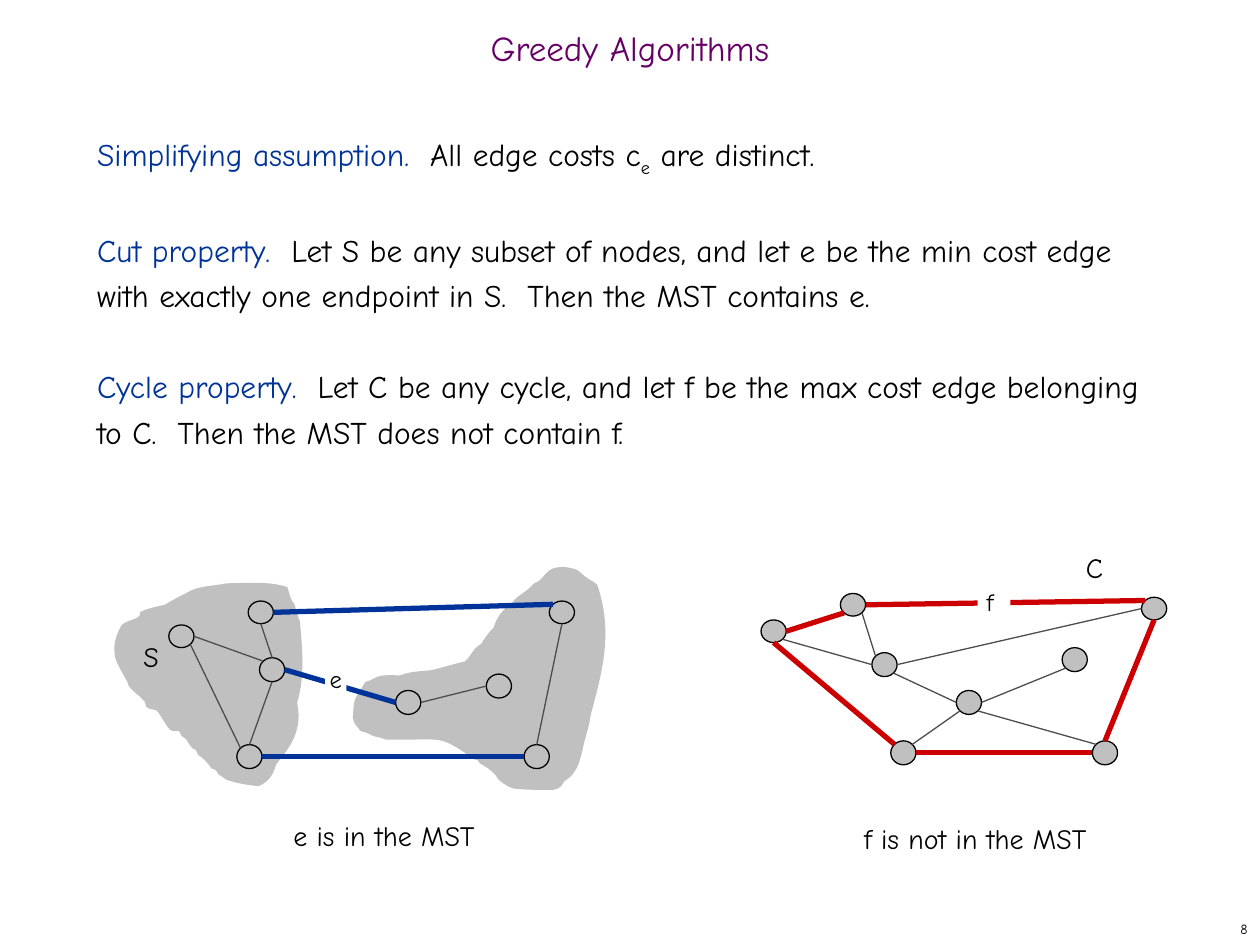
from pptx import Presentation
from pptx import util as u
from pptx.dml.color import RGBColor
from pptx.enum import shapes, text
from pptx.oxml.ns import qn
from lxml import etree

FONT = "Comic Neue"
INK = {"plum": "660066", "blue": "003399", "black": "000000", "red": "CC0000",
       "node": "C0C0C0", "edge": "4D4D4D", "white": "FFFFFF"}

# The page is a grid of 10 columns and 7.5 rows
COLS, ROWS = 10, 7.5
CELL = u.Inches(1)
NODE_W = 0.2
DIAG = 0.71
SITES = {"N": (0, -1), "S": (0, 1), "E": (1, 0), "W": (-1, 0),
         "NE": (DIAG, -DIAG), "NW": (-DIAG, -DIAG),
         "SE": (DIAG, DIAG), "SW": (-DIAG, DIAG)}

# Node corners by letter; an edge joins a compass point of one node to another
CUT = {"a": (1.34, 4.96), "h": (4.36, 4.77), "g": (4.16, 5.91), "b": (1.97, 4.77),
       "c": (2.06, 5.22), "d": (1.88, 5.91), "f": (3.86, 5.35), "e": (3.14, 5.48)}
CUT_BOLD = "gW-dE bE-hNW cE-eW"
CUT_THIN = "aE-cNW aSE-dNW bS-cN cS-dN hS-gN fW-eE"

CYCLE = {"a": (6.04, 4.92), "h": (9.06, 4.74), "g": (8.67, 5.88), "b": (6.67, 4.71),
         "c": (6.92, 5.18), "d": (7.07, 5.88), "f": (8.43, 5.14), "e": (7.59, 5.48)}
CYCLE_BOLD = "aE-bSW dNW-aS hS-gN gW-dE bE-hNW"
CYCLE_THIN = "bSE-cNW hW-cE eW-cSE eSW-dNE gNW-eSE fSW-eE cW-aSE"

# Outlines: a start point, then two handles and an end point for each curve
LEFT = [
    (1.11, 4.86), (1.16, 4.83), (1.27, 4.81), (1.31, 4.8), (1.37, 4.76), (1.44, 4.73),
    (1.51, 4.69), (1.59, 4.65), (1.71, 4.65), (1.8, 4.63), (1.95, 4.63), (2.13, 4.61),
    (2.28, 4.66), (2.3, 4.71), (2.3, 4.76), (2.34, 4.8), (2.35, 4.85), (2.36, 4.89),
    (2.38, 4.93), (2.4, 5.15), (2.42, 5.37), (2.36, 5.57), (2.36, 5.61), (2.37, 5.64),
    (2.37, 5.67), (2.37, 5.85), (2.29, 5.94), (2.19, 6.07), (2.17, 6.15), (2.13, 6.21),
    (2.05, 6.24), (1.96, 6.23), (1.89, 6.22), (1.8, 6.19), (1.78, 6.18), (1.76, 6.16),
    (1.74, 6.15), (1.73, 6.14), (1.72, 6.13), (1.72, 6.12), (1.71, 6.11), (1.69, 6.1),
    (1.68, 6.1), (1.65, 6.06), (1.61, 6.01), (1.57, 5.99), (1.57, 5.98), (1.56, 5.96),
    (1.55, 5.95), (1.54, 5.95), (1.53, 5.94), (1.52, 5.93), (1.5, 5.91), (1.49, 5.89),
    (1.48, 5.87), (1.47, 5.86), (1.45, 5.85), (1.44, 5.84), (1.41, 5.75), (1.39, 5.85),
    (1.33, 5.77), (1.3, 5.72), (1.29, 5.71), (1.26, 5.66), (1.25, 5.62), (1.18, 5.64),
    (1.16, 5.61), (1.15, 5.59), (1.16, 5.57), (1.13, 5.55), (1.11, 5.52), (1.06, 5.5),
    (1.02, 5.44), (1.01, 5.39), (0.91, 5.26), (0.91, 5.19), (0.9, 5.12), (0.92, 5.05),
    (0.95, 4.99), (0.97, 4.91), (1.13, 4.93), (1.11, 4.86)]
RIGHT = [
    (4.48, 4.5), (4.62, 4.52), (4.57, 4.53), (4.68, 4.6), (4.7, 4.61), (4.74, 4.64),
    (4.74, 4.64), (4.87, 5.02), (4.78, 5.33), (4.69, 5.67), (4.68, 5.74), (4.66, 5.81),
    (4.64, 5.88), (4.61, 6), (4.6, 6.13), (4.48, 6.2), (4.46, 6.24), (4.44, 6.26),
    (4.39, 6.27), (4.29, 6.27), (4.19, 6.27), (4.09, 6.26), (4.07, 6.26), (4.03, 6.24),
    (4.03, 6.24), (4, 6.22), (3.98, 6.21), (3.96, 6.19), (3.95, 6.19), (3.95, 6.17),
    (3.94, 6.16), (3.91, 6.12), (3.85, 6.08), (3.81, 6.06), (3.77, 6), (3.81, 6.06),
    (3.74, 6.01), (3.47, 5.82), (3.51, 5.88), (3.06, 5.87), (3.04, 5.86), (3.01, 5.85),
    (2.99, 5.85), (2.98, 5.84), (2.97, 5.84), (2.96, 5.84), (2.94, 5.83), (2.92, 5.82),
    (2.89, 5.81), (2.88, 5.81), (2.86, 5.8), (2.86, 5.8), (2.84, 5.77), (2.81, 5.75),
    (2.8, 5.7), (2.81, 5.59), (2.8, 5.56), (2.86, 5.48), (2.91, 5.4), (2.88, 5.42),
    (2.94, 5.4), (3.02, 5.35), (3.06, 5.36), (3.18, 5.36), (3.26, 5.33), (3.31, 5.33),
    (3.42, 5.32), (3.51, 5.3), (3.6, 5.27), (3.69, 5.25), (3.74, 5.21), (3.75, 5.15),
    (3.82, 5.11), (3.85, 5.06), (3.88, 5.02), (3.92, 4.98), (3.94, 4.9), (3.99, 4.84),
    (4.06, 4.79), (4.1, 4.73), (4.16, 4.71), (4.21, 4.66), (4.22, 4.65), (4.23, 4.64),
    (4.24, 4.63), (4.25, 4.62), (4.27, 4.62), (4.28, 4.61), (4.36, 4.53), (4.36, 4.5),
    (4.48, 4.5)]


def grid(*cells):
    return [round(c * CELL) for c in cells]


def rgb(name):
    return RGBColor.from_string(INK[name])


def put(par, words, size=16, ink="black", align=None, lead=None, gap=None, drop=False):
    """Add one formatted run to a paragraph."""
    run = par.add_run()
    run.text = words
    run.font.name, run.font.size = FONT, u.Pt(size)
    run.font.color.rgb = rgb(ink)
    if drop:
        run.font._element.set("baseline", "-25000")
    if align:
        par.alignment = align
    if lead:
        par.line_spacing = lead
    if gap is not None:
        par.space_before = u.Pt(gap)


def note(slide, words, x, y, w, h, wrap=False, **form):
    box = slide.shapes.add_textbox(*grid(x, y, w, h))
    box.text_frame.word_wrap = wrap
    put(box.text_frame.paragraphs[0], words, **form)
    return box


def tag(slide, words, x, y, w):
    """White label that breaks an edge."""
    box = note(slide, words, x, y, w, 0.23, wrap=True, size=14,
               align=text.PP_ALIGN.CENTER)
    box.fill.solid()
    box.fill.fore_color.rgb = rgb("white")
    frame = box.text_frame
    frame.margin_left = frame.margin_right = frame.margin_top = frame.margin_bottom = 0


def paint(shape):
    shape.shadow.inherit = False
    shape.fill.solid()
    shape.fill.fore_color.rgb = rgb("node")


def blob(slide, pts):
    """Closed region: each three points after the first become one curve."""
    pen = slide.shapes.build_freeform(*grid(*pts[0]))
    pen.add_line_segments([grid(*p) for p in pts[1:]], close=True)
    shape = pen.convert_to_shape()
    legs = list(shape._element.iter(qn("a:lnTo")))
    for i in range(0, len(pts) - 1, 3):
        curve = etree.Element(qn("a:cubicBezTo"))
        legs[i].addprevious(curve)
        for leg in legs[i:i + 3]:
            curve.append(leg[0])
            leg.getparent().remove(leg)
    paint(shape)
    shape.line.fill.background()


def tall(key):
    """The three top nodes are a little flatter."""
    return 0.18 if key in "abh" else 0.19


def site(nodes, spot):
    key, (dx, dy) = spot[0], SITES[spot[1:]]
    x, y = nodes[key]
    return grid(x + (1 + dx) * NODE_W / 2, y + (1 + dy) * tall(key) / 2)


def edges(slide, nodes, pairs, ink, width):
    for pair in pairs.split():
        start, end = pair.split("-")
        line = slide.shapes.add_connector(shapes.MSO_CONNECTOR.STRAIGHT,
                                          *site(nodes, start), *site(nodes, end))
        line.line.color.rgb, line.line.width = rgb(ink), u.Pt(width)
        etree.SubElement(line._element.spPr, qn("a:effectLst"))


def graph(slide, nodes, bold, thin, ink):
    for key, (x, y) in nodes.items():
        dot = slide.shapes.add_shape(shapes.MSO_SHAPE.OVAL, *grid(x, y, NODE_W, tall(key)))
        paint(dot)
        dot.line.color.rgb, dot.line.width = rgb("black"), u.Pt(0.75)
    edges(slide, nodes, bold, ink, 3)
    edges(slide, nodes, thin, "edge", 0.75)


def place(shape, *cells):
    shape.left, shape.top, shape.width, shape.height = grid(*cells)
    shape.text_frame.auto_size = text.MSO_AUTO_SIZE.NONE
    return shape.text_frame


def prose(slide):
    # Title
    head = place(slide.shapes.title, 0, 0.17, COLS, 0.5)
    head.vertical_anchor = text.MSO_ANCHOR.MIDDLE
    put(head.paragraphs[0], "Greedy Algorithms", size=20, ink="plum",
        align=text.PP_ALIGN.CENTER, lead=0.7)
    # Properties: a blue lead-in, then the statement
    body = place(slide.placeholders[1], 0.67, 1, 8.58, 5.92)
    items = [
        ("Simplifying assumption.  ", "All edge costs c", "e", " are distinct."),
        ("Cut property.  ", "Let S be any subset of nodes, and let e be the min cost "
         "edge with exactly one endpoint in S.  Then the MST contains e."),
        ("Cycle property.  ", "Let C be any cycle, and let f be the max cost edge "
         "belonging to C.  Then the MST does not contain f.")]
    for i, item in enumerate(items):
        par = body.add_paragraph() if i else body.paragraphs[0]
        props = par._p.get_or_add_pPr()
        props.set("marL", "0")
        props.set("indent", "0")
        etree.SubElement(props, qn("a:buNone"))
        for j, words in enumerate(item):
            put(par, words, size=18, ink="black" if j else "blue", drop=j == 2,
                lead=u.Pt(26), gap=26 if i else 0)


def main():
    deck = Presentation()
    deck.slide_width, deck.slide_height = grid(COLS, ROWS)
    slide = deck.slides.add_slide(deck.slide_layouts[1])
    prose(slide)
    # Cycle property
    graph(slide, CYCLE, CYCLE_BOLD, CYCLE_THIN, "red")
    tag(slide, "f ", 7.76, 4.66, 0.26)
    note(slide, "C", 8.52, 4.32, 0.34, 0.37)
    note(slide, "f is not in the MST", 6.76, 6.47, 1.97, 0.37)
    # Cut property
    blob(slide, RIGHT)
    blob(slide, LEFT)
    graph(slide, CUT, CUT_BOLD, CUT_THIN, "blue")
    tag(slide, "e", 2.58, 5.27, 0.17)
    note(slide, "S", 1.04, 5.03, 0.32, 0.37)
    note(slide, "e is in the MST", 2.23, 6.45, 1.64, 0.37)
    # Page number
    page = note(slide, "8", 7.92, 7.25, 2.08, 0.25, wrap=True, size=8,
                align=text.PP_ALIGN.RIGHT)
    page.text_frame.vertical_anchor = text.MSO_ANCHOR.MIDDLE
    deck.save("out.pptx")


if __name__ == "__main__":
    main()
